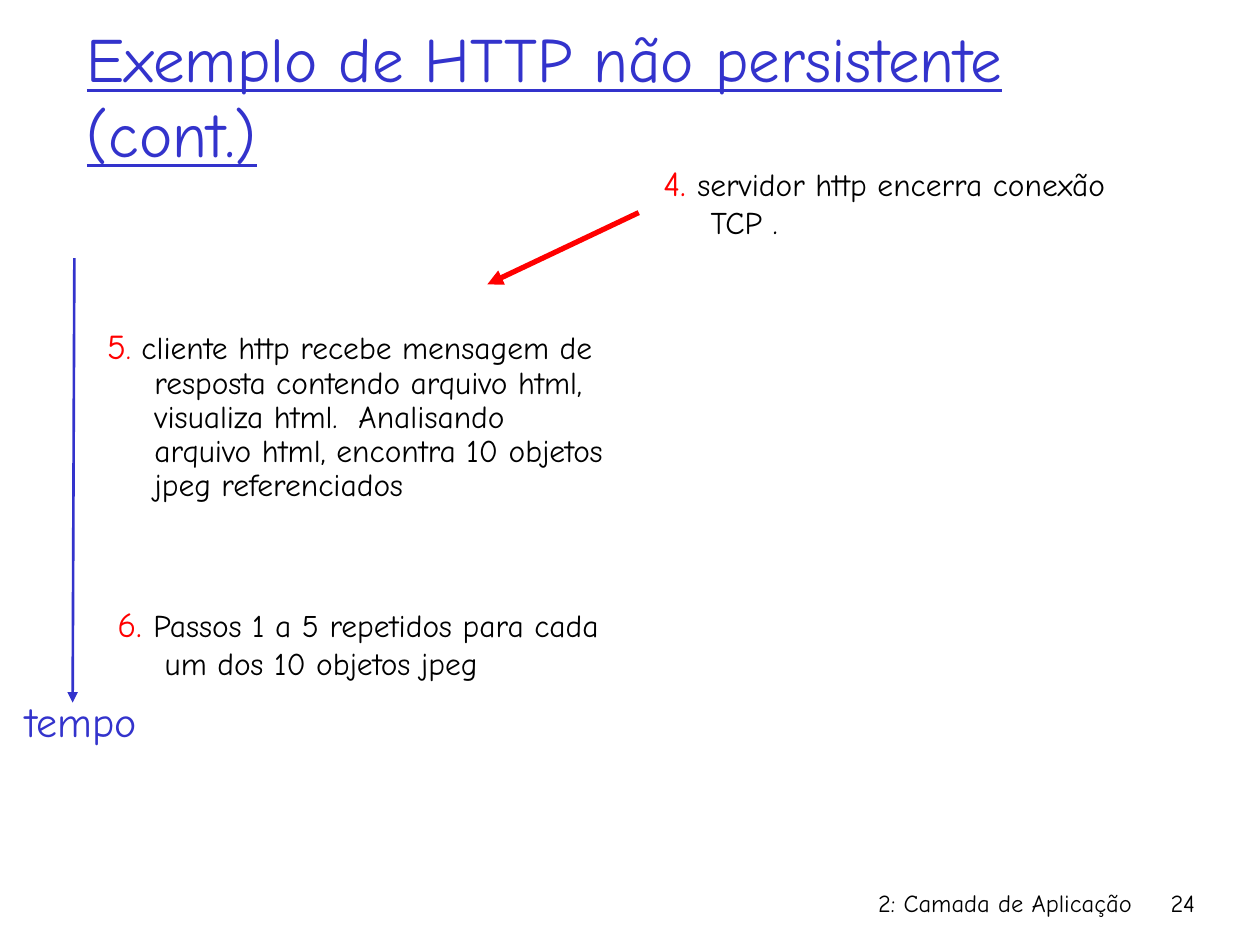
from dataclasses import dataclass

from lxml.etree import SubElement
from pptx import Presentation
from pptx.dml.color import RGBColor
from pptx.enum.shapes import MSO_CONNECTOR
from pptx.enum.text import MSO_ANCHOR, MSO_AUTO_SIZE, PP_ALIGN
from pptx.oxml.ns import qn
from pptx.shapes.base import BaseShape
from pptx.slide import Slide
from pptx.text.text import _Paragraph as Paragraph
from pptx.util import Pt

FONT = "Comic Neue"
BLUE = RGBColor(0x33, 0x33, 0xCC)
RED = RGBColor(0xFF, 0x00, 0x00)
BLACK = RGBColor(0x00, 0x00, 0x00)
HANGING_INDENT = 27


@dataclass(frozen=True)
class Box:
    left: float
    top: float
    width: float
    height: float


@dataclass(frozen=True)
class Span:
    text: str
    size: float
    color: RGBColor


@dataclass(frozen=True)
class Label:
    box: Box
    span: Span
    alignment: PP_ALIGN
    wrap: bool = True


@dataclass(frozen=True)
class Step:
    box: Box
    spans: tuple[Span, ...]
    line_spacing: float = 1.0
    in_body: bool = False


@dataclass(frozen=True)
class Arrow:
    start: tuple[float, float]
    end: tuple[float, float]
    color: RGBColor
    width: float


TITLE = Span("Exemplo de HTTP não persistente (cont.)", 36, BLUE)
TITLE_BOX = Box(42.5, 20, 612, 68.5)

LABELS = (
    Label(Box(426, 504, 228, 36), Span("2: Camada de Aplicação", 14, BLACK), PP_ALIGN.RIGHT),
    Label(Box(654, 504, 36, 36), Span("24", 14, BLACK), PP_ALIGN.RIGHT),
    Label(Box(5, 394, 83, 36), Span("tempo", 24, BLUE), PP_ALIGN.CENTER, wrap=False),
)

STEPS = (
    Step(
        Box(372, 88.5, 300, 57.5),
        (Span("4. ", 20, RED), Span("servidor http encerra conexão TCP .", 18, BLACK)),
    ),
    Step(
        Box(54, 184.5, 300, 121),
        (
            Span("5", 20, RED),
            Span(".", 18, RED),
            Span(
                " cliente http recebe mensagem de resposta contendo arquivo html, "
                "visualiza html.  Analisando arquivo html, encontra 10 objetos "
                "jpeg referenciados",
                18,
                BLACK,
            ),
        ),
        line_spacing=0.9,
        in_body=True,
    ),
    Step(
        Box(60, 340.5, 300, 52.5),
        (
            Span("6. ", 20, RED),
            Span("Passos 1 a 5 repetidos para cada um dos 10 objetos jpeg", 18, BLACK),
        ),
    ),
)

ARROWS = (
    Arrow((42.5, 147.5), (41.5, 401.5), BLUE, 1.5),
    Arrow((365, 121.5), (278.5, 162.5), RED, 3),
)


def place(shape: BaseShape, box: Box) -> None:
    shape.left, shape.top = Pt(box.left), Pt(box.top)
    shape.width, shape.height = Pt(box.width), Pt(box.height)


def add_text_box(slide: Slide, box: Box) -> BaseShape:
    lengths = (Pt(value) for value in (box.left, box.top, box.width, box.height))
    return slide.shapes.add_textbox(*lengths)


def write_span(paragraph: Paragraph, span: Span) -> None:
    run = paragraph.add_run()
    run.text = span.text
    run.font.name = FONT
    run.font.size = Pt(span.size)
    run.font.color.rgb = span.color


def fill_title(slide: Slide) -> None:
    title = slide.shapes.title
    place(title, TITLE_BOX)
    frame = title.text_frame
    frame.auto_size = MSO_AUTO_SIZE.NONE
    frame.vertical_anchor = MSO_ANCHOR.MIDDLE
    paragraph = frame.paragraphs[0]
    paragraph.alignment = PP_ALIGN.LEFT
    write_span(paragraph, TITLE)
    paragraph.runs[0].font.underline = True


def draw_label(slide: Slide, label: Label) -> None:
    frame = add_text_box(slide, label.box).text_frame
    frame.word_wrap = label.wrap
    paragraph = frame.paragraphs[0]
    paragraph.alignment = label.alignment
    write_span(paragraph, label.span)


def draw_step(slide: Slide, step: Step) -> None:
    if step.in_body:
        shape = slide.placeholders[1]
        place(shape, step.box)
    else:
        shape = add_text_box(slide, step.box)
    frame = shape.text_frame
    frame.word_wrap = True
    frame.auto_size = MSO_AUTO_SIZE.NONE
    paragraph = frame.paragraphs[0]
    paragraph.line_spacing = step.line_spacing
    paragraph.space_before = Pt(0)
    properties = paragraph._p.get_or_add_pPr()
    properties.set("marL", str(Pt(HANGING_INDENT)))
    properties.set("indent", str(-Pt(HANGING_INDENT)))
    SubElement(properties, qn("a:buNone"))
    for span in step.spans:
        write_span(paragraph, span)


def draw_arrow(slide: Slide, arrow: Arrow) -> None:
    ends = (Pt(value) for value in arrow.start + arrow.end)
    connector = slide.shapes.add_connector(MSO_CONNECTOR.STRAIGHT, *ends)
    connector.line.color.rgb = arrow.color
    connector.line.width = Pt(arrow.width)
    SubElement(connector.line._get_or_add_ln(), qn("a:tailEnd"), type="triangle")
    SubElement(connector._element.spPr, qn("a:effectLst"))


def main() -> None:
    presentation = Presentation()
    presentation.slide_width, presentation.slide_height = Pt(720), Pt(540)
    slide = presentation.slides.add_slide(presentation.slide_layouts[1])
    fill_title(slide)
    for step in STEPS:
        draw_step(slide, step)
    for arrow in ARROWS:
        draw_arrow(slide, arrow)
    for label in LABELS:
        draw_label(slide, label)
    presentation.save("out.pptx")


if __name__ == "__main__":
    main()
